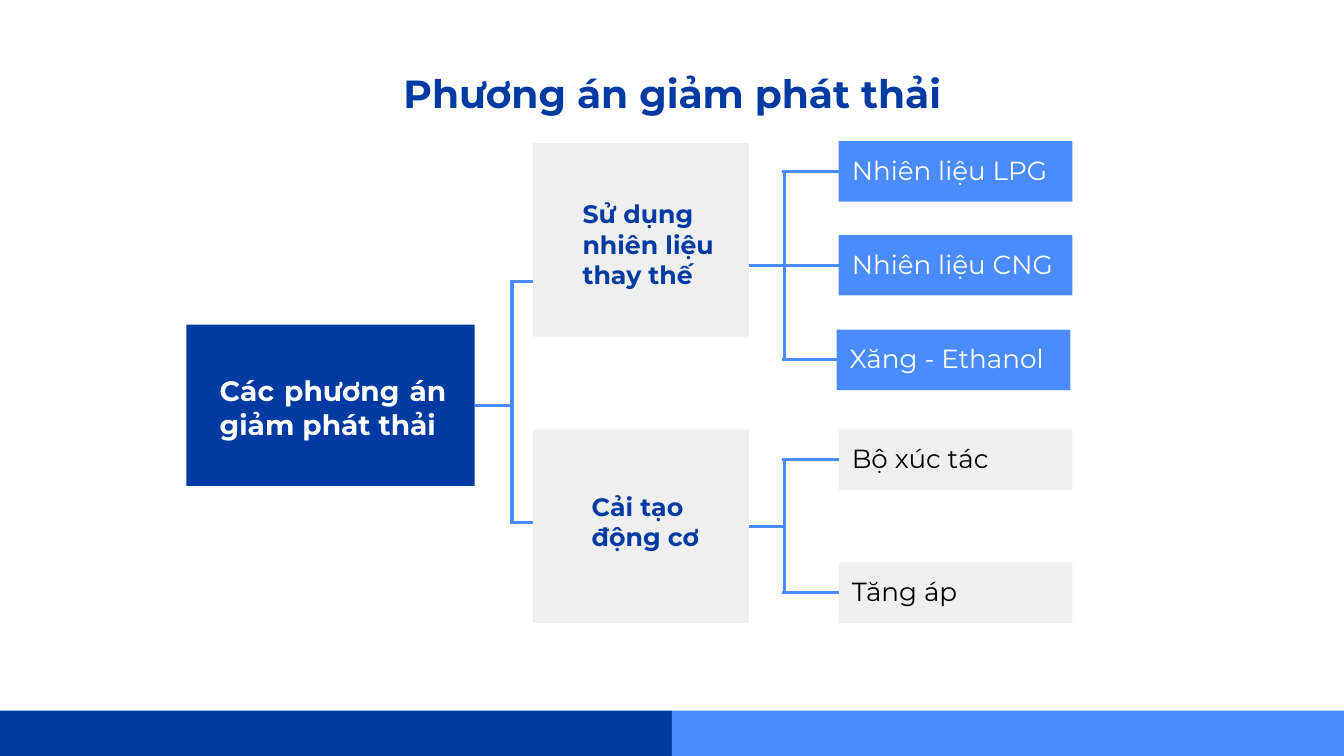
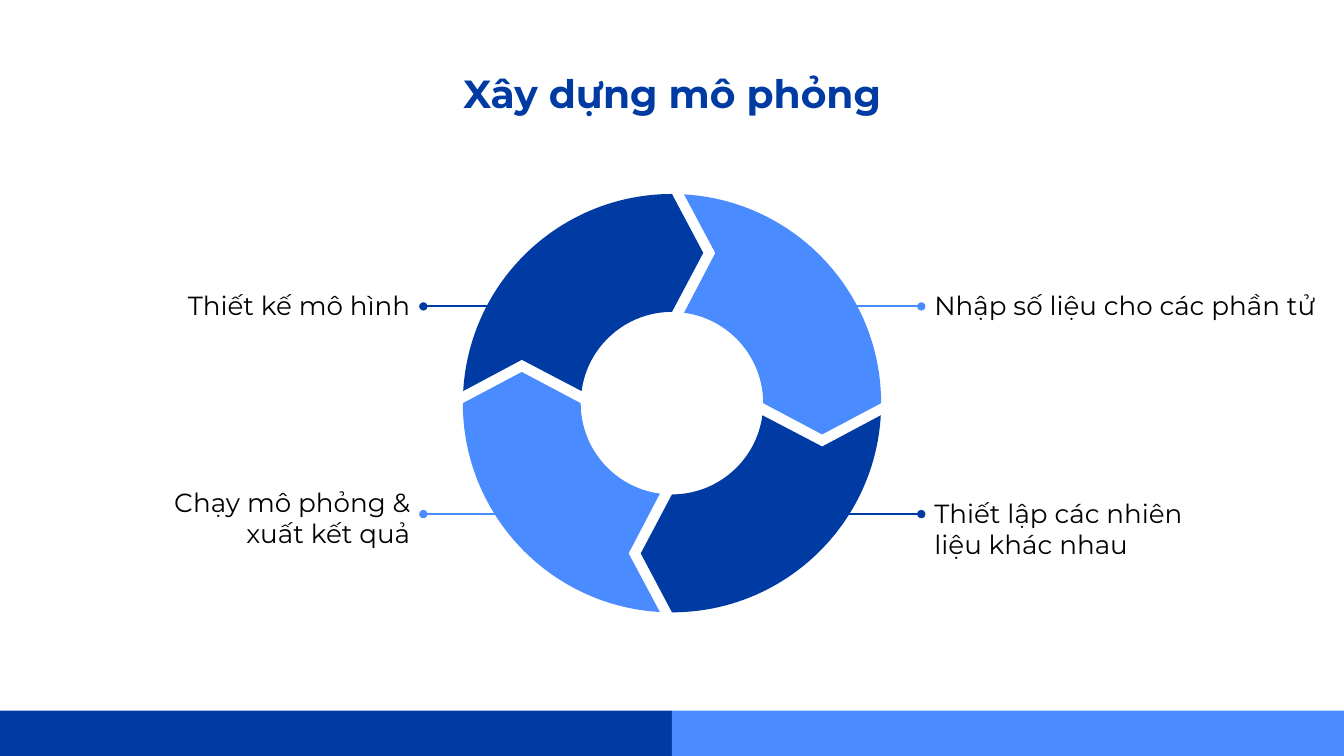
"""Build two slides on emission reduction: an options tree and a simulation cycle."""
import math

import pptx
import pptx.dml.color
import pptx.enum.shapes
import pptx.enum.text
import pptx.oxml.ns
import pptx.util
from lxml import etree

Inches = pptx.util.Inches
qn = pptx.oxml.ns.qn
SHAPE = pptx.enum.shapes.MSO_SHAPE
ALIGN = pptx.enum.text.PP_ALIGN

FONT = "Montserrat"
NAVY, BLUE, GREY, WHITE, BLACK = "003BA3", "4A8CFF", "EFEFEF", "FFFFFF", "000000"
SLIDE_W, SLIDE_H, BAND_H = 40 / 3, 7.5, 0.45
INSET = 0.13
LABEL_SIZE = 18.7

TREE_TITLE = "Phương án giảm phát thải"
ROOT = {"text": "Các phương án giảm phát thải", "at": (1.85, 3.22, 2.86, 1.6),
        "fill": NAVY, "color": WHITE, "size": 20, "bold": True,
        "align": ALIGN.JUSTIFY, "insets": (0.33, 0.49, 0.28, 0)}
BRANCH = {"fill": GREY, "color": NAVY, "size": 18, "bold": True}
BRANCHES = [
    {"node": {"text": "Sử dụng nhiên liệu thay thế", "at": (5.29, 1.42, 2.14, 1.92),
              "insets": (0.49, 0.55, 0, 0)},
     "entry_y": 2.79, "exit_y": 2.63, "leaf_fill": BLUE, "leaf_color": WHITE,
     "leaves": [("Nhiên liệu LPG", 8.32, 1.4), ("Nhiên liệu CNG", 8.32, 2.33),
                ("Xăng - Ethanol", 8.3, 3.27)]},
    {"node": {"text": "Cải tạo động cơ", "at": (5.29, 4.26, 2.14, 1.92),
              "insets": (0.58, 0.61, 0.1, 0)},
     "entry_y": 5.18, "exit_y": 5.22, "leaf_fill": GREY, "leaf_color": BLACK,
     "leaves": [("Bộ xúc tác", 8.32, 4.26), ("Tăng áp", 8.32, 5.58)]},
]
LEAF_W, LEAF_H = 2.32, 0.6
ROOT_TRUNK_X, LEAF_TRUNK_X = 5.08, 7.78
CORNER, STUB_W = 0.02, 0.62

CYCLE_TITLE = "Xây dựng mô phỏng"
STEPS = [
    ("Nhập số liệu cho các phần tử", BLUE, (9.14, 2.74, 4.19, 0.6), (8.08, 9.14, 3.04)),
    ("Thiết lập các nhiên liệu khác nhau", NAVY, (9.14, 4.8, 3.16, 0.6), (8.07, 9.14, 5.1)),
    ("Chạy mô phỏng & xuất kết quả", BLUE, (1.04, 4.69, 3.16, 0.6), (5.26, 4.2, 5.1)),
    ("Thiết kế mô hình", NAVY, (1.04, 2.74, 3.16, 0.6), (5.25, 4.2, 3.04)),
]
CENTER_X, CENTER_Y = SLIDE_W / 2, 4
OUTER_R, INNER_R = 4.15 / 2, 1.81 / 2
GAP, TIP = 0.12, 0.31


def rgb(value):
    return pptx.dml.color.RGBColor.from_string(value)


def write(sp, text, color, size, bold=False, align=ALIGN.LEFT, insets=(INSET,) * 4):
    tf = sp.text_frame
    tf.word_wrap = True
    tf.auto_size = pptx.enum.text.MSO_AUTO_SIZE.NONE
    tf.vertical_anchor = pptx.enum.text.MSO_ANCHOR.TOP
    tf.margin_left, tf.margin_top, tf.margin_right, tf.margin_bottom = map(Inches, insets)
    p = tf.paragraphs[0]
    p.text = text
    p.alignment = align
    p.font.name, p.font.size, p.font.bold = FONT, pptx.util.Pt(size), bold
    p.font.color.rgb = rgb(color)


def paint(sp, fill):
    sp.shadow.inherit = False
    sp.fill.solid()
    sp.fill.fore_color.rgb = rgb(fill)
    sp.line.fill.background()


def add_box(slide, at, fill):
    sp = slide.shapes.add_shape(SHAPE.RECTANGLE, *map(Inches, at))
    paint(sp, fill)
    return sp


def add_node(slide, text, at, fill, **style):
    sp = add_box(slide, at, fill)
    write(sp, text, **style)
    return sp


def add_line(slide, start, end, color=BLUE, width=2.25, dot=False):
    line = slide.shapes.add_connector(
        pptx.enum.shapes.MSO_CONNECTOR.STRAIGHT, *map(Inches, start + end))
    line.line.width = pptx.util.Pt(width)
    line.line.color.rgb = rgb(color)
    spPr = line.element.spPr
    if dot:
        etree.SubElement(spPr.find(qn("a:ln")), qn("a:tailEnd"), type="oval")
    etree.SubElement(spPr, qn("a:effectLst"))
    return line


def add_slide(prs, layout, title):
    slide = prs.slides.add_slide(layout)
    write(slide.shapes.title, title, NAVY, 28, True, ALIGN.CENTER)
    return slide


def prepare_layout(prs):
    layout = prs.slide_layouts.get_by_name("Title Only")
    title = layout.placeholders[0]
    title.left, title.top, title.width, title.height = map(Inches, (1.05, 0.56, 11.24, 1.37))
    return layout


def add_bands(slide, layout):
    half = SLIDE_W / 2
    for i, color in enumerate((NAVY, BLUE)):
        band = add_box(slide, (i * half, SLIDE_H - BAND_H, half, BAND_H), color)
        layout.shapes.element.append(band.element)


def build_tree(slide):
    root = add_node(slide, **ROOT)
    x, y, w, h = ROOT["at"]
    root_y = y + h / 2
    add_line(slide, (x + w, root_y), (ROOT_TRUNK_X, root_y)).begin_connect(root, 3)
    entries = [branch["entry_y"] for branch in BRANCHES]
    add_line(slide, (ROOT_TRUNK_X, min(entries)), (ROOT_TRUNK_X, max(entries)))

    for branch in BRANCHES:
        x, y, w, h = branch["node"]["at"]
        entry_y, exit_y = branch["entry_y"], branch["exit_y"]
        start_x = ROOT_TRUNK_X - CORNER
        add_line(slide, (start_x, entry_y), (start_x + STUB_W, entry_y))
        node = add_node(slide, **branch["node"], **BRANCH)
        stub = add_line(slide, (x + w, exit_y), (LEAF_TRUNK_X, exit_y))
        if math.isclose(exit_y, y + h / 2):
            stub.begin_connect(node, 3)
        middles = [top + LEAF_H / 2 for _, _, top in branch["leaves"]]
        add_line(slide, (LEAF_TRUNK_X, middles[0]), (LEAF_TRUNK_X, middles[-1]))
        for (text, left, top), middle in zip(branch["leaves"], middles):
            leaf = add_node(slide, text, (left, top, LEAF_W, LEAF_H), branch["leaf_fill"],
                            color=branch["leaf_color"], size=LABEL_SIZE)
            line = add_line(slide, (LEAF_TRUNK_X - CORNER, middle), (left, middle))
            line.end_connect(leaf, 1)


def arc(radius, start, end):
    """Return the four Bezier points of an arc."""
    k = 4 / 3 * math.tan((end - start) / 4)
    (c1, s1), (c2, s2) = ((math.cos(a), math.sin(a)) for a in (start, end))
    return [(radius * x, radius * y) for x, y in
            ((c1, s1), (c1 - k * s1, s1 + k * c1), (c2 + k * s2, s2 - k * c2), (c2, s2))]


def add_segment(slide, color, turn):
    middle = (OUTER_R + INNER_R) / 2
    outer, inner = (math.asin(GAP / r) - math.pi / 2 for r in (OUTER_R, INNER_R))
    arcs = [arc(INNER_R, inner, 0), arc(OUTER_R, 0, outer)]
    cos, sin = math.cos(turn), math.sin(turn)

    def place(point):
        x, y = point
        return Inches(CENTER_X + x * cos - y * sin), Inches(CENTER_Y + x * sin + y * cos)

    corners = [(GAP + TIP, -middle), arcs[0][0], arcs[0][3],
               (middle, TIP), arcs[1][0], arcs[1][3]]
    builder = slide.shapes.build_freeform(*place(corners[0]))
    builder.add_line_segments([place(corner) for corner in corners[1:]], close=True)
    sp = builder.convert_to_shape()
    paint(sp, color)
    sides = list(sp.element.iter(qn("a:lnTo")))
    for side, points in zip((sides[1], sides[4]), arcs):
        side.addprevious(curve := etree.Element(qn("a:cubicBezTo")))
        for x, y in map(place, points[1:]):
            etree.SubElement(curve, qn("a:pt"), x=str(x - sp.left), y=str(y - sp.top))
        side.getparent().remove(side)


def build_cycle(slide):
    for i, (_, color, _, _) in enumerate(STEPS):
        add_segment(slide, color, i * math.pi / 2)

    for text, color, at, (x1, x2, y) in STEPS:
        label = slide.shapes.add_textbox(*map(Inches, at))
        align = ALIGN.LEFT if at[0] > CENTER_X else ALIGN.RIGHT
        write(label, text, BLACK, LABEL_SIZE, align=align)
        add_line(slide, (x1, y), (x2, y), color, 1.5, dot=True)


def main():
    prs = pptx.Presentation()
    prs.slide_width, prs.slide_height = Inches(SLIDE_W), Inches(SLIDE_H)
    layout = prepare_layout(prs)
    tree = add_slide(prs, layout, TREE_TITLE)
    add_bands(tree, layout)
    build_tree(tree)
    build_cycle(add_slide(prs, layout, CYCLE_TITLE))
    prs.save("out.pptx")


if __name__ == "__main__":
    main()
